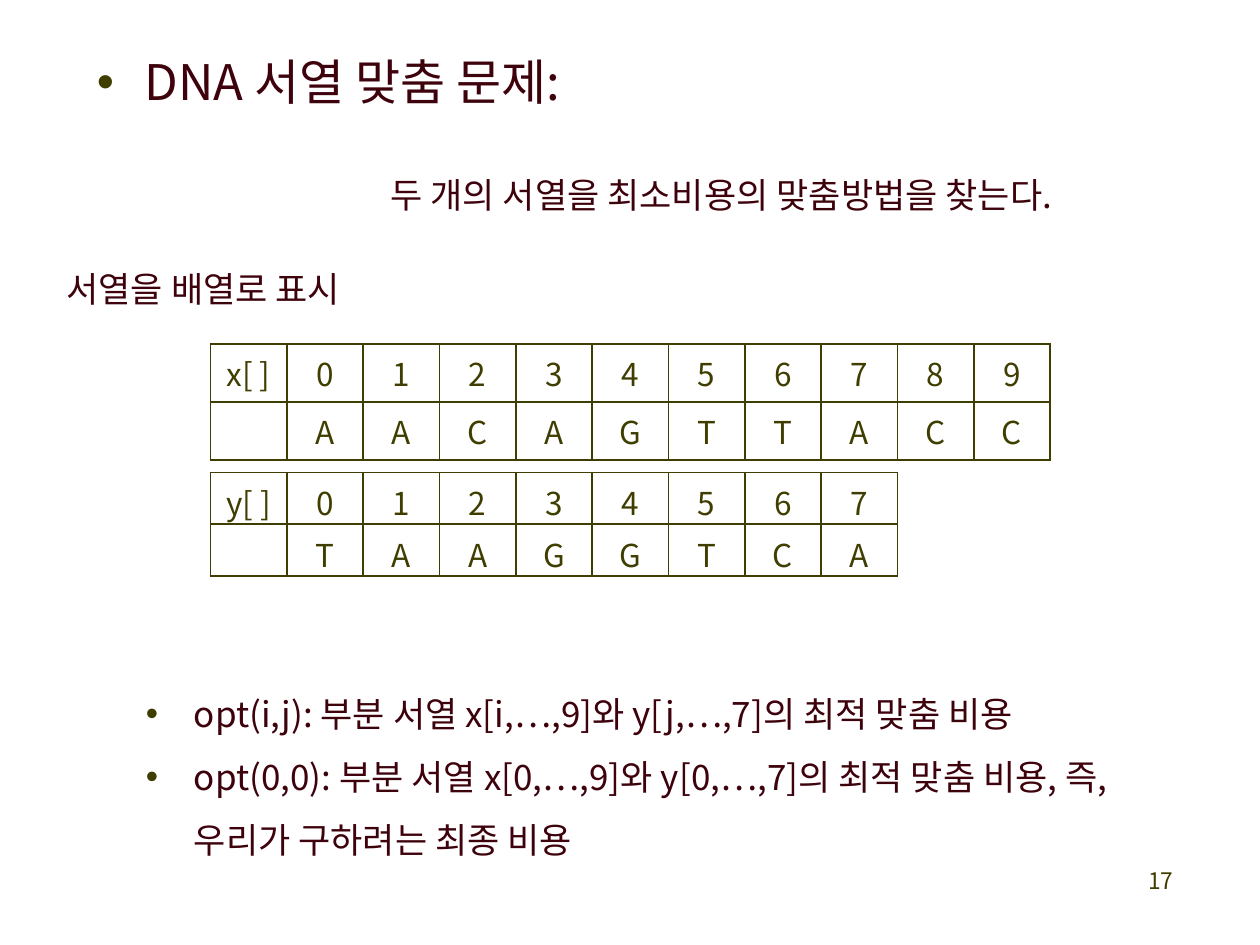
from lxml import etree
from pptx import Presentation
from pptx.dml.color import RGBColor
from pptx.enum import text
from pptx.oxml import ns
from pptx.util import Inches, Pt

FONT = "Noto Sans CJK KR"
OLIVE = RGBColor(0x3F, 0x3E, 0x00)
MAROON = RGBColor(0x3E, 0x02, 0x0C)

HEADING = "DNA 서열 맞춤 문제:"
GOAL = "두 개의 서열을 최소비용의 맞춤방법을 찾는다."
ARRAY_LABEL = "서열을 배열로 표시"
DEFINITIONS = [
    "opt(i,j): 부분 서열 x[i,…,9]와 y[j,…,7]의 최적 맞춤 비용",
    "opt(0,0): 부분 서열 x[0,…,9]와 y[0,…,7]의 최적 맞춤 비용, 즉, 우리가 구하려는 최종 비용",
]
PAGE = "17"
# name, sequence, top, bottom margin, row height
SEQUENCES = [
    ("x[ ]", "AACAGTTACC", 2.73, 0.05, 0.46),
    ("y[ ]", "TAAGGTCA", 3.75, 0, 0.41),
]
SEQUENCE_LEFT, CELL_WIDTH = 1.67, 0.606


def add(parent, tag, **attributes):
    return etree.SubElement(parent, ns.qn(tag), attributes)


def style(paragraph, size, color):
    for run in paragraph.runs:
        run.font.size = Pt(size)
        run.font.name = FONT
        run.font.color.rgb = color
        add(run.font._element, "a:ea", typeface=FONT)


def bullet(paragraph):
    props = paragraph._p.get_or_add_pPr()
    props.set("marL", str(Inches(0.38)))
    props.set("indent", str(Inches(-0.38)))
    add(add(props, "a:buClr"), "a:srgbClr", val=str(OLIVE))
    add(props, "a:buFont", typeface="Arial")
    add(props, "a:buChar", char="•")


def add_text(box, lines, sizes, color, spacing=None):
    frame = slide.shapes.add_textbox(*map(Inches, box)).text_frame
    frame.word_wrap = True
    frame.text = "\n".join(lines)
    for paragraph, size in zip(frame.paragraphs, sizes):
        paragraph.line_spacing = spacing
        style(paragraph, size, color)
    return frame.paragraphs


def add_sequence(name, letters, top, bottom_margin, row_height):
    rows = [[name, *map(str, range(len(letters)))], ["", *letters]]
    count = len(rows[0])
    table = slide.shapes.add_table(
        2, count, Inches(SEQUENCE_LEFT), Inches(top),
        Inches(CELL_WIDTH * count), Inches(row_height * 2)).table
    table.first_row = table.horz_banding = False
    for column in table.columns:
        column.width = Inches(CELL_WIDTH)
    for r, row in enumerate(rows):
        table.rows[r].height = Inches(row_height)
        for c, value in enumerate(row):
            cell = table.cell(r, c)
            cell.text = value
            cell.margin_bottom = Inches(bottom_margin)
            paragraph = cell.text_frame.paragraphs[0]
            paragraph.alignment = text.PP_ALIGN.CENTER
            style(paragraph, 18, OLIVE)
            props = cell._tc.get_or_add_tcPr()
            for side in ("a:lnL", "a:lnR", "a:lnT", "a:lnB"):
                line = add(props, side, w=str(Pt(1)))
                add(add(line, "a:solidFill"), "a:srgbClr", val=str(OLIVE))
            cell.fill.background()


deck = Presentation()
deck.slide_width, deck.slide_height = Inches(10), Inches(7.5)
slide = deck.slides.add_slide(deck.slide_layouts[6])

page, = add_text((7.33, 6.83, 2.08, 0.5), [PAGE], [13], OLIVE)
page.alignment = text.PP_ALIGN.RIGHT

heading, goal = add_text((0.67, 0.44, 9.03, 1.24), [HEADING, GOAL], [28, 20], MAROON, Pt(28))
bullet(heading)
goal.space_before = Pt(32)
goal._p.get_or_add_pPr().set("marL", str(Inches(2.33)))

add_text((0.43, 2.02, 2.64, 0.46), [ARRAY_LABEL], [20], MAROON, Pt(28))

for sequence in SEQUENCES:
    add_sequence(*sequence)

for definition in add_text((1.06, 5.28, 8.35, 1.62), DEFINITIONS, [20, 20], MAROON, 1.5):
    bullet(definition)

deck.save("out.pptx")
